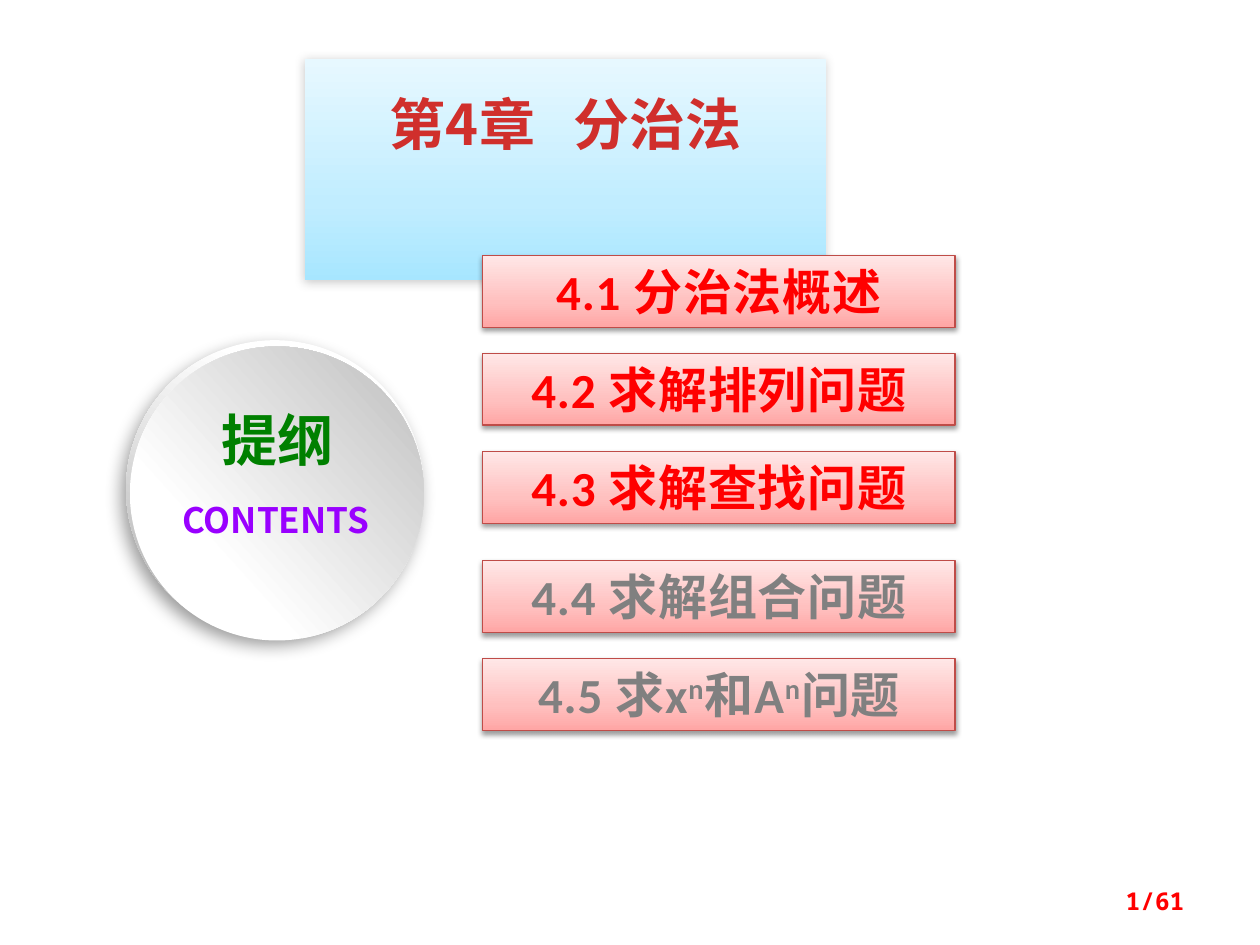
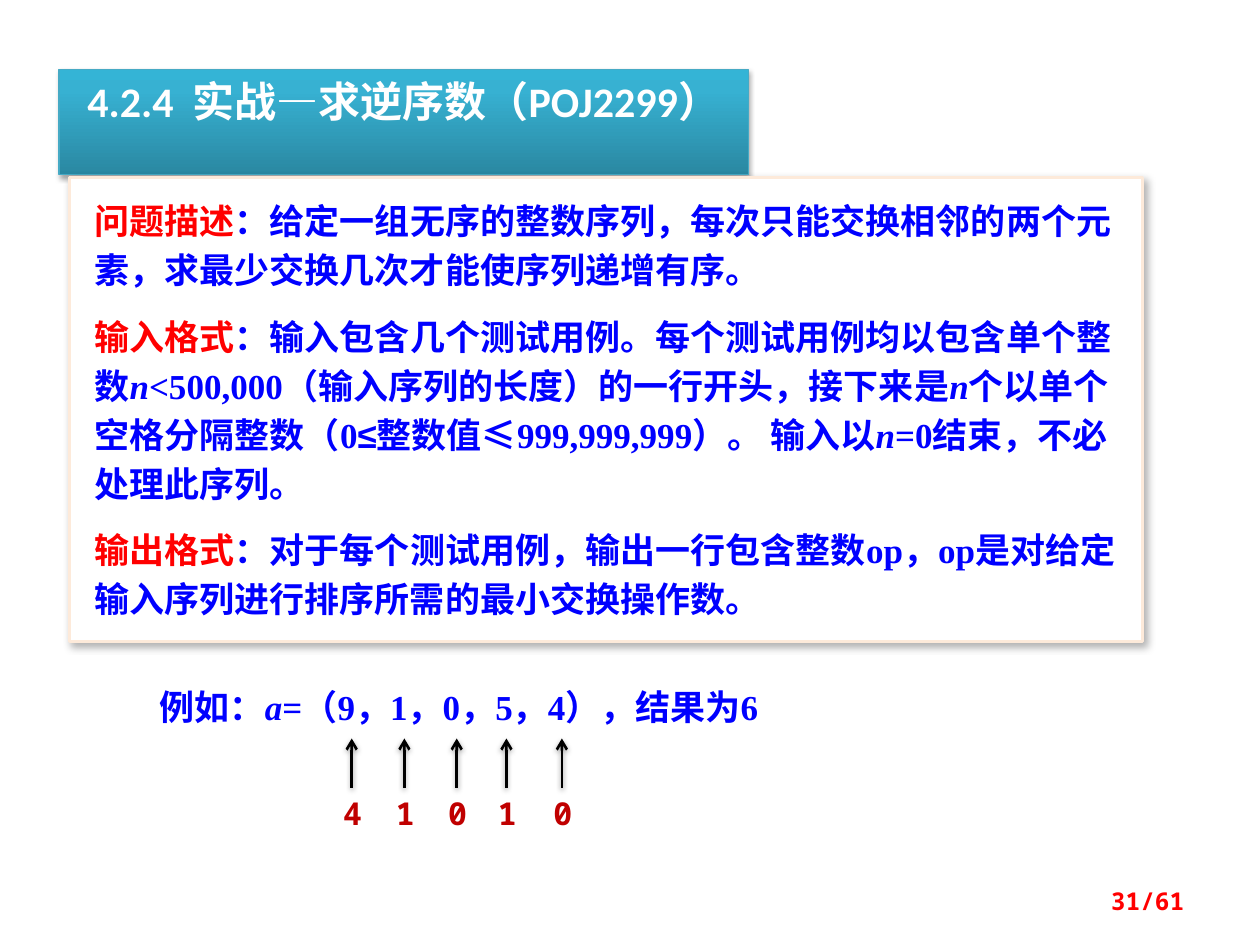
"""Build two slides of a chapter on divide and conquer."""
from dataclasses import dataclass, field
from typing import Any, NamedTuple

from lxml import etree
from pptx import Presentation
from pptx import util as u
from pptx.dml.color import RGBColor
from pptx.enum import shapes, text
from pptx.oxml import ns

Pt = u.Pt
COLORS = {
    "white": "FFFFFF", "black": "000000", "red": "FF0000", "blue": "0000FF",
    "green": "008000", "violet": "9900FF", "gray": "808080", "crimson": "C00000",
    "item_edge": "BF4C48", "heading_edge": "46AAC5", "cream": "FDEADA",
}
CJK = "Noto Sans CJK SC"
MONO = "Noto Sans Mono"
SERIF = "Times New Roman"
PAGE_COUNT = 61
LEFT, CENTER, RIGHT = (text.PP_ALIGN.LEFT, text.PP_ALIGN.CENTER, text.PP_ALIGN.RIGHT)


class Gradient(NamedTuple):
    stops: tuple[tuple[int, str], ...]
    angle: float = 90


class Shadow(NamedTuple):
    alpha: int
    blur: float
    distance: float
    angle: int = 90


class Frame(NamedTuple):
    left: float
    top: float
    width: float
    height: float


class Run(NamedTuple):
    content: str
    color: str | Gradient = ""
    font: dict[str, Any] = {}
    spacing: float = 0
    raised: int = 0


@dataclass(frozen=True)
class Look:
    fill: str | Gradient
    shadow: Shadow | None = None
    edge: str = ""
    edge_width: float = 0.75


@dataclass(frozen=True)
class Words:
    paragraphs: list[list[Run]]
    font: dict[str, Any]
    color: str | Gradient
    align: text.PP_ALIGN = LEFT
    paragraph: dict[str, Any] = field(default_factory=dict)
    gap: float = 0
    frame: dict[str, Any] = field(default_factory=dict)


ITEM = Look(Gradient(((0, "FFA6A5"), (35, "FFC0BF"), (100, "FFE7E7"))),
            Shadow(38, 3.1, 1.6), "item_edge")
CHAPTER = Look(Gradient(((0, "A7E6FF"), (35, "C1EDFF"), (100, "E7F8FF"))),
               Shadow(20, 6, 1, 135))
HEADING = Look(Gradient(((0, "2A88A2"), (80, "37B1D2"), (100, "34B4D6"))),
               Shadow(35, 3.1, 1.8), "heading_edge")
STATEMENT = Look("white", Shadow(30, 4.5, 2.6, 53), "cream", 2)
DISC_RIM = Look(Gradient(((17, "FFFFFF"), (88, "B8B8B8")), 253), Shadow(39, 10, 5, 123))
DISC_FACE = Look(Gradient(((29, "FFFFFF"), (98, "BFBFBF")), 42))
CHAPTER_INK = Gradient(((0, "FC7C7A"), (75, "D02F2C"), (100, "C70500")), 270)


def font_of(name: str, size: float, bold: bool = True) -> dict[str, Any]:
    """Return font settings."""
    return {"name": name, "size": Pt(size), "bold": bold}


def set_all(target: Any, values: dict[str, Any]) -> None:
    """Set every named attribute on the target."""
    for name, value in values.items():
        setattr(target, name, value)


def rgb(color: str) -> RGBColor:
    """Look up a named colour."""
    return RGBColor.from_string(COLORS[color])


def paint(fill: Any, color: str | Gradient) -> None:
    """Apply a solid colour or a gradient to a fill."""
    if isinstance(color, str):
        fill.solid()
        fill.fore_color.rgb = rgb(color)
        return
    fill.gradient()
    fill.gradient_angle = color.angle
    stops = fill._xPr.find(ns.qn("a:gradFill")).find(ns.qn("a:gsLst"))
    for stop in list(stops):
        stops.remove(stop)
    for position, value in color.stops:
        stop = etree.SubElement(stops, ns.qn("a:gs"), pos=str(position * 1000))
        etree.SubElement(stop, ns.qn("a:srgbClr"), val=value)


def cast_shadow(shape: Any, shadow: Shadow | None) -> None:
    """Replace the theme shadow by the given one, or by none."""
    effects = etree.SubElement(shape._element.spPr, ns.qn("a:effectLst"))
    if shadow:
        outer = etree.SubElement(
            effects, ns.qn("a:outerShdw"), blurRad=str(Pt(shadow.blur)),
            dist=str(Pt(shadow.distance)), dir=str(shadow.angle * 60000),
            algn="ctr", rotWithShape="0")
        tint = etree.SubElement(outer, ns.qn("a:srgbClr"), val=COLORS["black"])
        etree.SubElement(tint, ns.qn("a:alpha"), val=str(shadow.alpha * 1000))


def place(shape: Any, frame: Frame) -> None:
    """Move and size a shape."""
    set_all(shape, {name: Pt(value) for name, value in frame._asdict().items()})


def dress(shape: Any, look: Look) -> None:
    """Give a shape its fill, edge and shadow."""
    paint(shape.fill, look.fill)
    if look.edge:
        paint(shape.line.fill, look.edge)
        shape.line.width = Pt(look.edge_width)
    else:
        shape.line.fill.background()
    cast_shadow(shape, look.shadow)


def write(shape: Any, words: Words) -> None:
    """Fill a shape with formatted paragraphs."""
    body = shape.text_frame
    set_all(body, {"word_wrap": True, "vertical_anchor": text.MSO_ANCHOR.TOP,
                   "auto_size": text.MSO_AUTO_SIZE.SHAPE_TO_FIT_TEXT,
                   "margin_left": Pt(7.2), "margin_right": Pt(7.2),
                   "margin_top": Pt(3.6), "margin_bottom": Pt(3.6)} | words.frame)
    for index, runs in enumerate(words.paragraphs):
        paragraph = body.add_paragraph() if index else body.paragraphs[0]
        set_all(paragraph, {"alignment": words.align} | words.paragraph)
        if index and words.gap:
            paragraph.space_before = Pt(words.gap)
        for part in runs:
            run = paragraph.add_run()
            run.text = part.content
            set_all(run.font, words.font | part.font)
            paint(run.font.fill, part.color or words.color)
            properties = run.font._rPr
            etree.SubElement(properties, ns.qn("a:ea"), typeface=CJK)
            if part.spacing:
                properties.set("spc", str(round(part.spacing * 100)))
            if part.raised:
                properties.set("baseline", str(part.raised * 1000))


def add_block(slide: Any, frame: Frame, look: Look, words: Words | None = None,
              outline: Any = shapes.MSO_SHAPE.RECTANGLE) -> None:
    """Draw a filled preset shape, with text if given."""
    block = slide.shapes.add_shape(outline, *map(Pt, frame))
    dress(block, look)
    if words:
        write(block, words)


def add_label(slide: Any, frame: Frame, words: Words) -> None:
    """Add a plain text box."""
    write(slide.shapes.add_textbox(*map(Pt, frame)), words)


def add_slide(deck: Any, page: int, frame: Frame, look: Look, words: Words) -> Any:
    """Add a slide with its title band and page number."""
    slide = deck.slides.add_slide(deck.slide_layouts[5])
    title = slide.shapes.title
    place(title, frame)
    dress(title, look)
    write(title, words)
    add_label(slide, Frame(516, 500.4, 168, 28.8), Words(
        [[Run(f"{page}/{PAGE_COUNT}")]], font_of(MONO, 14), "red", RIGHT,
        frame={"vertical_anchor": text.MSO_ANCHOR.MIDDLE,
               "auto_size": text.MSO_AUTO_SIZE.NONE}))
    return slide


def add_arrow(slide: Any, x: float, bottom: float, top: float) -> None:
    """Draw an upward arrow."""
    arrow = slide.shapes.add_connector(
        shapes.MSO_CONNECTOR.STRAIGHT, *map(Pt, (x, bottom, x, top)))
    paint(arrow.line.fill, "black")
    arrow.line.width = Pt(1.5)
    etree.SubElement(arrow.line._ln, ns.qn("a:tailEnd"), type="arrow")
    cast_shadow(arrow, Shadow(38, 3.1, 1.6))


def build_outline(deck: Any) -> None:
    """Build the chapter outline."""
    slide = add_slide(deck, 1, Frame(174.2, 33.8, 298, 59.8), CHAPTER, Words(
        [[Run("第4章"), Run(" ", spacing=14.4), Run("分治法")]],
        font_of(CJK, 32), CHAPTER_INK, CENTER, frame={"margin_top": Pt(17.3)}))
    oval = shapes.MSO_SHAPE.OVAL
    add_block(slide, Frame(72, 194.4, 170, 170), DISC_RIM, outline=oval)
    add_block(slide, Frame(74.2, 198, 168, 168), DISC_FACE, outline=oval)
    add_label(slide, Frame(91.4, 281.5, 132.5, 31.7),
              Words([[Run("CONTENTS")]], font_of(CJK, 20), "violet", CENTER))
    add_label(slide, Frame(103, 228.2, 110.9, 46),
              Words([[Run("提纲")]], font_of(CJK, 32), "green", CENTER))
    sections = [
        [("4.1 分治法概述", 0)], [("4.2 求解排列问题", 0)], [("4.3 求解查找问题", 0)],
        [("4.4 求解组合问题", 0)],
        [("4.5 求x", 0), ("n", 30), ("和A", 0), ("n", 30), ("问题", 0)],
    ]
    covered = 3
    for index, parts in enumerate(sections):
        later = index >= covered
        top = 146 + 56 * index + 6.4 * later
        runs = [Run(part, spacing=0.5, raised=raised) for part, raised in parts]
        add_block(slide, Frame(275.8, top, 270, 41), ITEM, Words(
            [runs], font_of("Calibri", 28), "gray" if later else "red", CENTER))


def build_inversions(deck: Any) -> None:
    """Build the inversion count problem."""
    slide = add_slide(deck, 31, Frame(33.8, 39.6, 393.8, 36), HEADING, Words(
        [[Run("4.2.4"), Run(" ", spacing=5.4), Run("实战—求逆序数（POJ2299）")]],
        font_of("Calibri", 24), "white", CENTER))
    variable = Run("n", font={"italic": True})
    at_most = Run("≤", font={"name": "Arial"})
    statement = [
        [Run("问题描述", "red"),
         Run("：给定一组无序的整数序列，每次只能交换相邻的两个元素，求最少交换几次才能使序列递增有序。")],
        [Run("输入格式", "red"),
         Run("：输入包含几个测试用例。每个测试用例均以包含单个整数"), variable,
         Run("<500,000（输入序列的长度）的一行开头，接下来是"), variable,
         Run("个以单个空格分隔整数（0"), at_most, Run("整数值"), at_most,
         Run("999,999,999）。 输入以"), variable, Run("=0结束，不必处理此序列。")],
        [Run("输出格式", "red"),
         Run("：对于每个测试用例，输出一行包含整数op，op是对给定输入序列进行排序所需的最小交换操作数。")],
    ]
    add_block(slide, Frame(39.6, 101.5, 613.4, 265), STATEMENT, Words(
        statement, font_of(SERIF, 20), "blue", paragraph={"line_spacing": Pt(28)}, gap=10,
        frame={"margin_left": Pt(14.4), "margin_top": Pt(8.6), "margin_bottom": Pt(8.6)}))
    add_label(slide, Frame(84.2, 388, 382.3, 31.7), Words(
        [[Run("例如："), Run("a", font={"italic": True}), Run("=（9，1，0，5，4），结果为6")]],
        font_of(SERIF, 20), "blue"))
    inversions = {201: "4", 231.1: "1", 261: "0", 289.4: "1", 321.1: "0"}
    for x, count in inversions.items():
        add_arrow(slide, x, 450, 422)
        add_label(slide, Frame(x - 12, 450, 22.3, 28.8),
                  Words([[Run(count)]], font_of(MONO, 18), "crimson"))


def main() -> None:
    """Build and save the deck."""
    deck = Presentation()
    set_all(deck, {"slide_width": Pt(720), "slide_height": Pt(540)})
    build_outline(deck)
    build_inversions(deck)
    deck.save("out.pptx")


if __name__ == "__main__":
    main()
